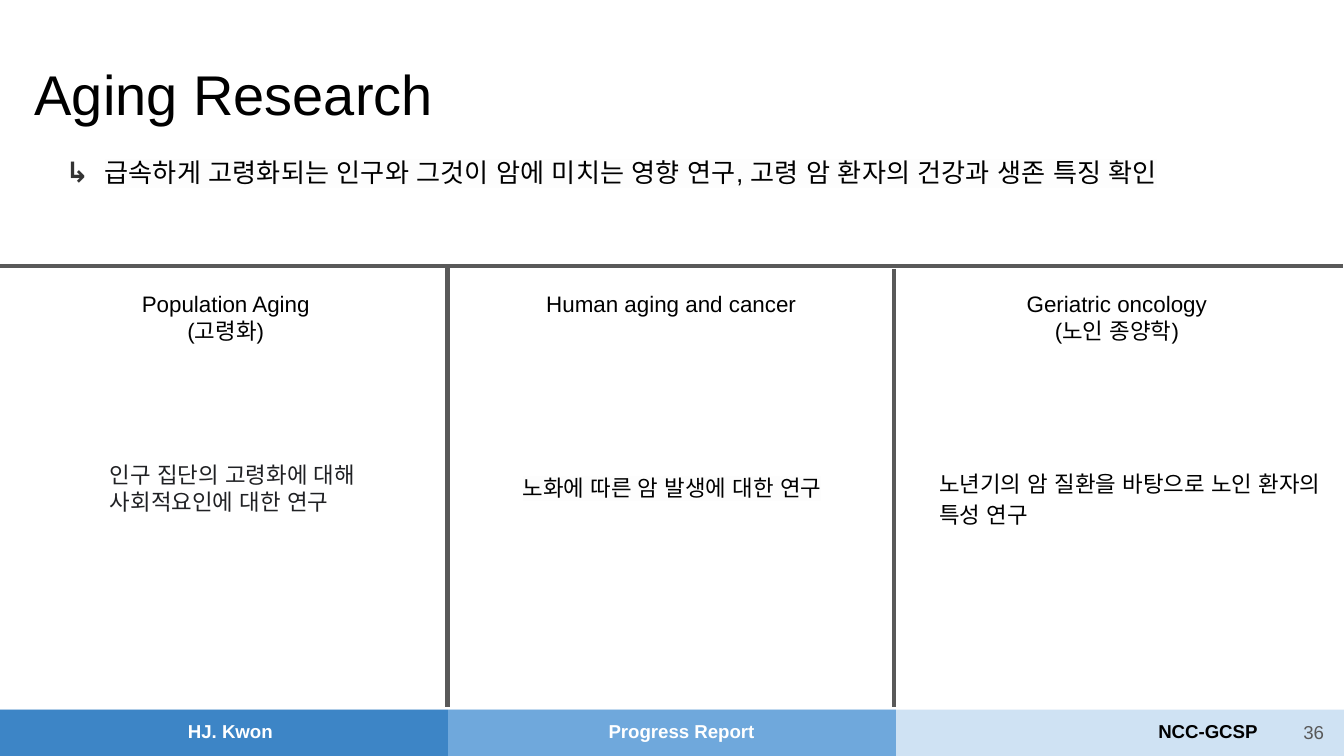
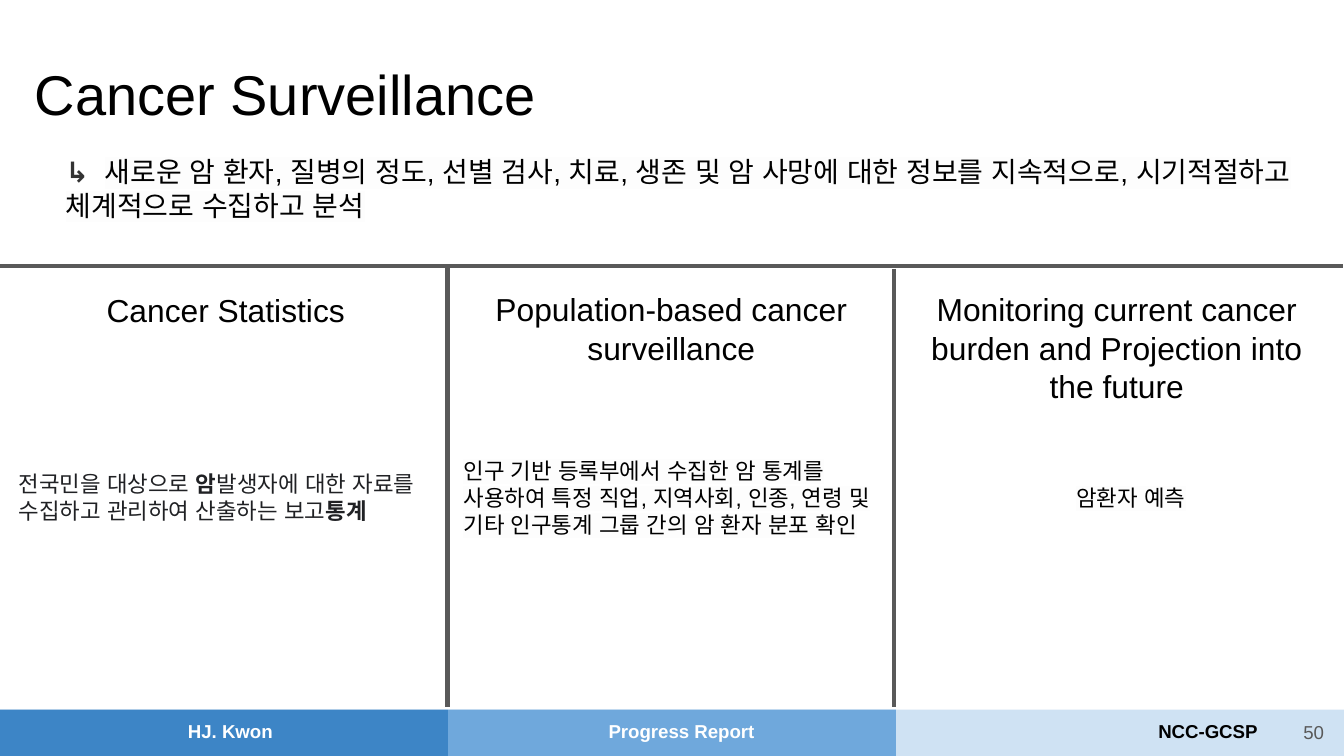
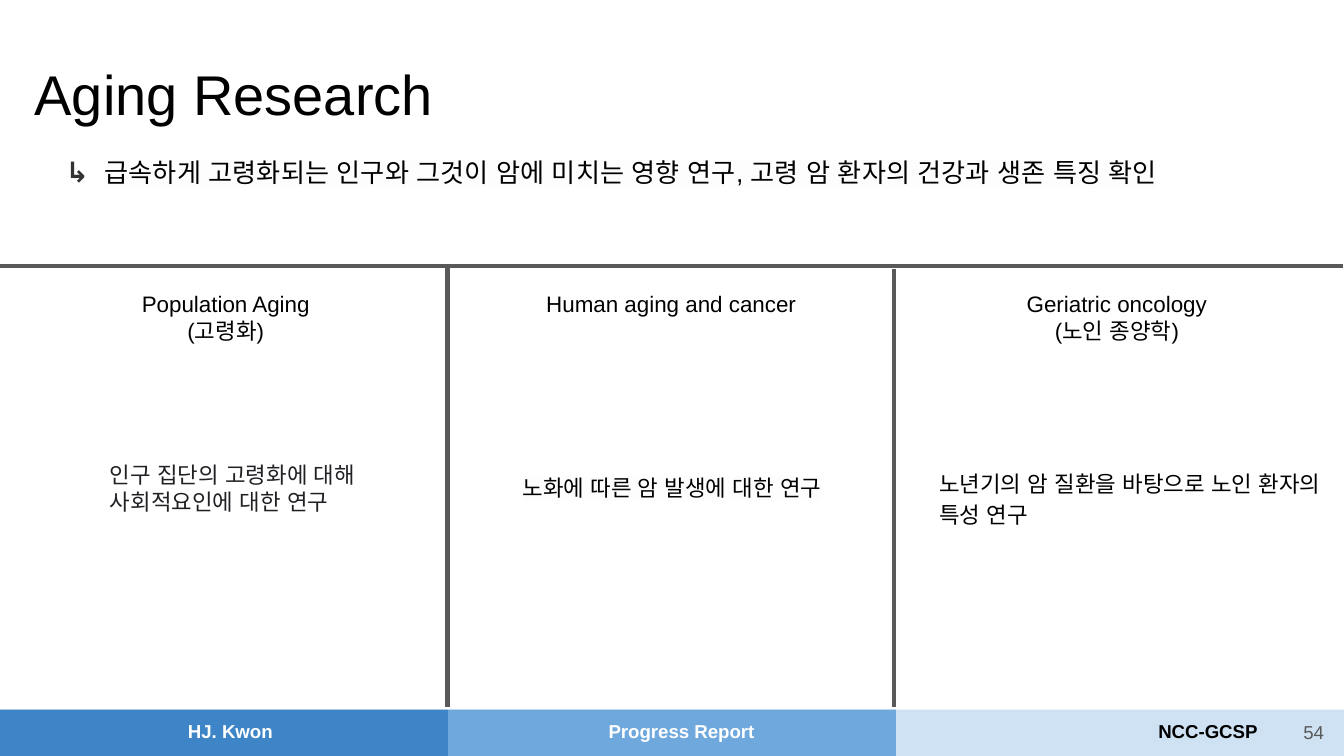
"""Build three research-topic slides with a shared title, three-column frame and footer."""

import dataclasses
import typing

import lxml.etree
import pptx
import pptx.dml.color
import pptx.enum.shapes
import pptx.enum.text
import pptx.oxml.ns
import pptx.presentation
import pptx.slide
import pptx.util

RGBColor = pptx.dml.color.RGBColor
ALIGN = pptx.enum.text.PP_ALIGN
ANCHOR = pptx.enum.text.MSO_ANCHOR

WIDTH = pptx.util.Inches(10)
HEIGHT = pptx.util.Inches(5.625)
CELL = WIDTH / 100
BAND = 100 / 3
HEADING_PITCH = 33.15
FONT = "Arial"

BLACK = RGBColor(0x00, 0x00, 0x00)
WHITE = RGBColor(0xFF, 0xFF, 0xFF)
OFF_WHITE = RGBColor(0xFD, 0xFD, 0xFD)
INK = RGBColor(0x20, 0x21, 0x24)
ARROW_GRAY = RGBColor(0x33, 0x33, 0x33)
GRAY = RGBColor(0x59, 0x59, 0x59)
DARK_BLUE = RGBColor(0x3D, 0x85, 0xC6)
MID_BLUE = RGBColor(0x6F, 0xA8, 0xDC)
PALE_BLUE = RGBColor(0xCF, 0xE2, 0xF3)


class Area(typing.NamedTuple):
    left: float
    top: float
    width: float
    height: float


class Style(typing.NamedTuple):
    size: float
    color: RGBColor = BLACK
    bold: bool = False
    highlight: typing.Optional[RGBColor] = None


class Span(typing.NamedTuple):
    text: str
    style: Style


Line = typing.Tuple[Span, ...]


@dataclasses.dataclass(frozen=True)
class TextBox:
    area: Area
    lines: typing.Tuple[Line, ...]
    align: ALIGN = ALIGN.LEFT
    anchor: ANCHOR = ANCHOR.TOP
    grows: bool = True
    spacing: typing.Optional[float] = None
    tab: typing.Optional[float] = None


class Heading(typing.NamedTuple):
    height: float
    lines: typing.Tuple[str, ...]


@dataclasses.dataclass(frozen=True)
class Topic:
    title: str
    title_width: float
    summary: str
    summary_size: float
    summary_height: float
    heading_size: float
    headings: typing.Tuple[Heading, ...]
    bodies: typing.Tuple[TextBox, ...]


TITLE = Style(30)
ARROW = Style(15, ARROW_GRAY, True, WHITE)
BODY = Style(12, BLACK, False, OFF_WHITE)
BODY_INK = Style(12, INK, False, WHITE)
BODY_KEY = Style(12, INK, True)
FOOTER_LIGHT = Style(10, WHITE, True)
FOOTER_DARK = Style(10, BLACK, True)
PAGE_NUMBER = Style(10, GRAY)


def plain(area: Area, text: str, style: Style, **options: typing.Any) -> TextBox:
    return TextBox(area, ((Span(text, style),),), **options)


FOOTER_BANDS = ((100, PALE_BLUE, 0), (BAND, MID_BLUE, BAND), (BAND, DARK_BLUE, 0))
FOOTER_LABELS = (
    plain(Area(85.2, 52.7, 10, 3.7), "NCC-GCSP", FOOTER_DARK),
    plain(Area(13, 52.7, 12.9, 3.7), "HJ. Kwon", FOOTER_LIGHT),
    plain(Area(44.3, 52.7, 12.9, 3.7), "Progress Report", FOOTER_LIGHT),
)
FRAME = ((0, 19.8, 99.9, 19.8), (33.3, 19.9, 33.3, 52.6), (66.5, 20, 66.5, 52.6))

AGING = Topic(
    "Aging Research", 69.3,
    "급속하게 고령화되는 인구와 그것이 암에 미치는 영향 연구, 고령 암 환자의 건강과 생존 특징 확인",
    14, 4.5, 12,
    (
        Heading(6.1, ("Population Aging", "(고령화)")),
        Heading(4, ("Human aging and cancer",)),
        Heading(6.1, ("Geriatric oncology", "(노인 종양학)")),
    ),
    (
        plain(Area(7.2, 33.3, 20.4, 6.1),
              "인구 집단의 고령화에 대해 사회적요인에 대한 연구", BODY_INK),
        plain(Area(37.9, 34.3, 26.2, 4), "노화에 따른 암 발생에 대한 연구", BODY),
        plain(Area(68.9, 33.7, 30.7, 6.4),
              "노년기의 암 질환을 바탕으로 노인 환자의 특성 연구", Style(12), spacing=1.15),
    ),
)
SURVEILLANCE = Topic(
    "Cancer Surveillance", 44.2,
    "새로운 암 환자, 질병의 정도, 선별 검사, 치료, 생존 및 암 사망에 대한 정보를 지속적으로, "
    "시기적절하고 체계적으로 수집하고 분석",
    15, 7.1, 17,
    (
        Heading(4.9, ("Cancer Statistics",)),
        Heading(7.7, ("Population-based cancer surveillance",)),
        Heading(10.6, ("Monitoring current cancer burden and Projection into the future",)),
    ),
    (
        TextBox(Area(0.4, 34, 32.8, 6.1), ((
            Span("전국민을 대상으로 ", BODY_INK),
            Span("암", BODY_KEY),
            Span("발생자에 대한 자료를 수집하고 관리하여 산출하는 보고", BODY_INK),
            Span("통계", BODY_KEY),
        ),)),
        plain(Area(33.5, 33, 32.8, 8.1),
              "인구 기반 등록부에서 수집한 암 통계를 사용하여 특정 직업, 지역사회, 인종, 연령 "
              "및 기타 인구통계 그룹 간의 암 환자 분포 확인", BODY),
        plain(Area(79.1, 35, 12.2, 4), "암환자 예측", BODY),
    ),
)
PAGES = ((36, AGING), (50, SURVEILLANCE), (54, AGING))


def cells(*values: float) -> typing.List[int]:
    return [round(value * CELL) for value in values]


def add_element(parent: typing.Any, tag: str, **attributes: str) -> typing.Any:
    return lxml.etree.SubElement(parent, pptx.oxml.ns.qn(tag), attributes)


def apply_style(font: typing.Any, style: Style) -> None:
    font.size = pptx.util.Pt(style.size)
    font.bold = style.bold
    font.color.rgb = style.color


def fill_paragraph(para: typing.Any, line: Line, item: TextBox) -> None:
    para.alignment = item.align
    if item.spacing:
        para.line_spacing = item.spacing
    properties = para._p.get_or_add_pPr()
    if item.tab:
        stops = add_element(properties, "a:tabLst")
        add_element(stops, "a:tab", pos=str(cells(item.tab)[0]), algn="l")
    shared = len({span.style for span in line}) == 1
    if shared:
        apply_style(para.font, line[0].style)
    para.font.name = FONT
    add_element(properties.get_or_add_defRPr(), "a:ea", typeface=FONT)
    for span in line:
        run = para.add_run()
        run.text = span.text
        if not shared:
            apply_style(run.font, span.style)
        if span.style.highlight is not None:
            mark = add_element(run._r.get_or_add_rPr(), "a:highlight")
            add_element(mark, "a:srgbClr", val=str(span.style.highlight))


def draw_text(page: pptx.slide.Slide, item: TextBox) -> None:
    frame = page.shapes.add_textbox(*cells(*item.area)).text_frame
    frame.word_wrap = True
    frame.vertical_anchor = item.anchor
    sizing = pptx.enum.text.MSO_AUTO_SIZE
    frame.auto_size = sizing.SHAPE_TO_FIT_TEXT if item.grows else sizing.NONE
    frame.margin_left = frame.margin_right = frame.margin_top = frame.margin_bottom = cells(1)[0]
    for index, line in enumerate(item.lines):
        para = frame.add_paragraph() if index else frame.paragraphs[0]
        fill_paragraph(para, line, item)


def draw_footer(page: pptx.slide.Slide, number: int) -> None:
    for width, color, left in FOOTER_BANDS:
        band = page.shapes.add_shape(
            pptx.enum.shapes.MSO_SHAPE.RECTANGLE, *cells(left, 52.8, width, 3.5))
        band.shadow.inherit = False
        band.fill.solid()
        band.fill.fore_color.rgb = color
        band.line.fill.background()
    draw_text(page, plain(Area(93.5, 52.3, 6, 4.3), str(number), PAGE_NUMBER,
                          align=ALIGN.RIGHT, anchor=ANCHOR.MIDDLE, grows=False))
    for label in FOOTER_LABELS:
        draw_text(page, label)


def draw_frame(page: pptx.slide.Slide) -> None:
    for ends in FRAME:
        rule = page.shapes.add_connector(
            pptx.enum.shapes.MSO_CONNECTOR.STRAIGHT, *cells(*ends))
        rule.line.color.rgb = GRAY
        rule.line.width = pptx.util.Pt(2.25)
        add_element(rule._element.spPr, "a:effectLst")


def draw_topic(page: pptx.slide.Slide, topic: Topic) -> None:
    draw_text(page, plain(Area(1.6, 3.4, topic.title_width, 7.1), topic.title, TITLE))
    summary = Style(topic.summary_size, BLACK, False, OFF_WHITE)
    draw_text(page, TextBox(
        Area(3.9, 10.5, 94.2, topic.summary_height),
        ((Span("↳\t", ARROW), Span(topic.summary, summary)),), tab=2.9))
    draw_frame(page)
    for column, heading in enumerate(topic.headings):
        lines = tuple((Span(text, Style(topic.heading_size)),) for text in heading.lines)
        area = Area(0.4 + column * HEADING_PITCH, 20.6, 32.8, heading.height)
        draw_text(page, TextBox(area, lines, align=ALIGN.CENTER))
    for body in topic.bodies:
        draw_text(page, body)


def add_page(deck: pptx.presentation.Presentation, number: int, topic: Topic) -> None:
    page = deck.slides.add_slide(deck.slide_layouts[6])
    draw_footer(page, number)
    draw_topic(page, topic)


def main() -> None:
    deck = pptx.Presentation()
    deck.slide_width, deck.slide_height = WIDTH, HEIGHT
    for number, topic in PAGES:
        add_page(deck, number, topic)
    deck.save("out.pptx")


if __name__ == "__main__":
    main()
